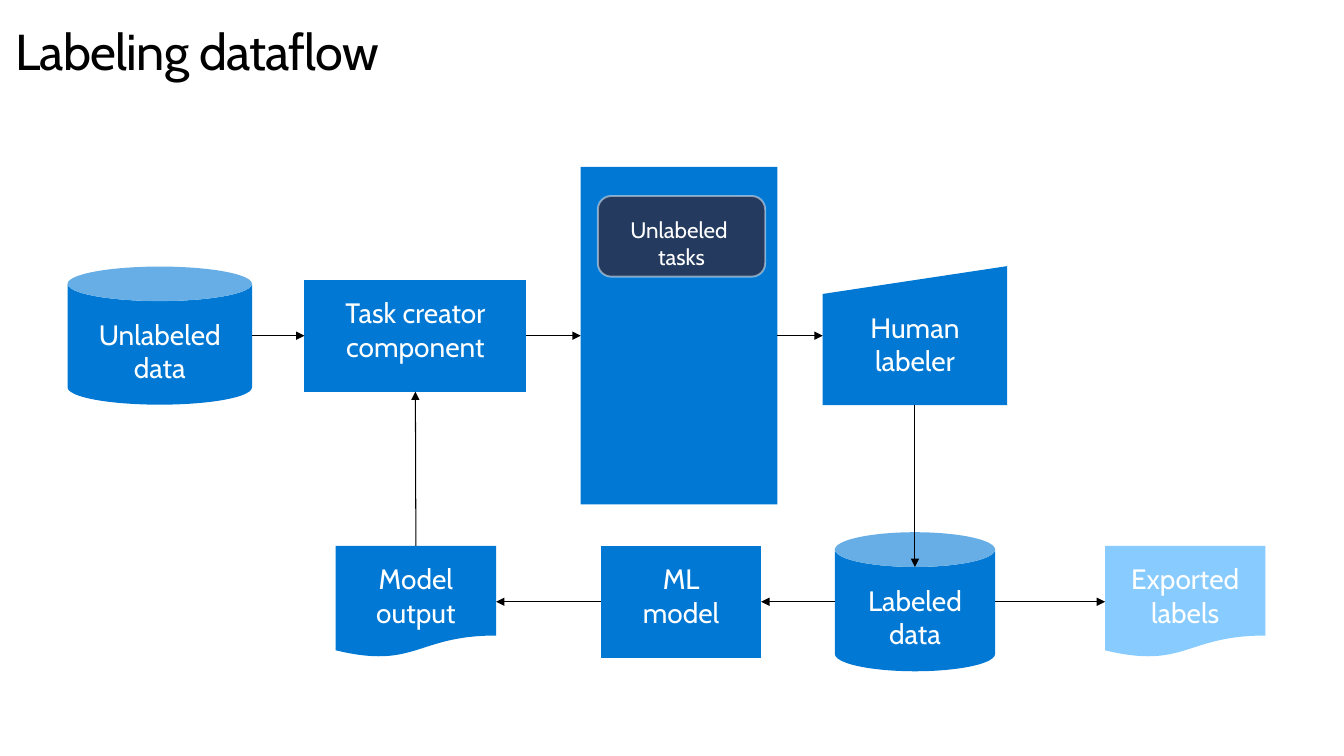
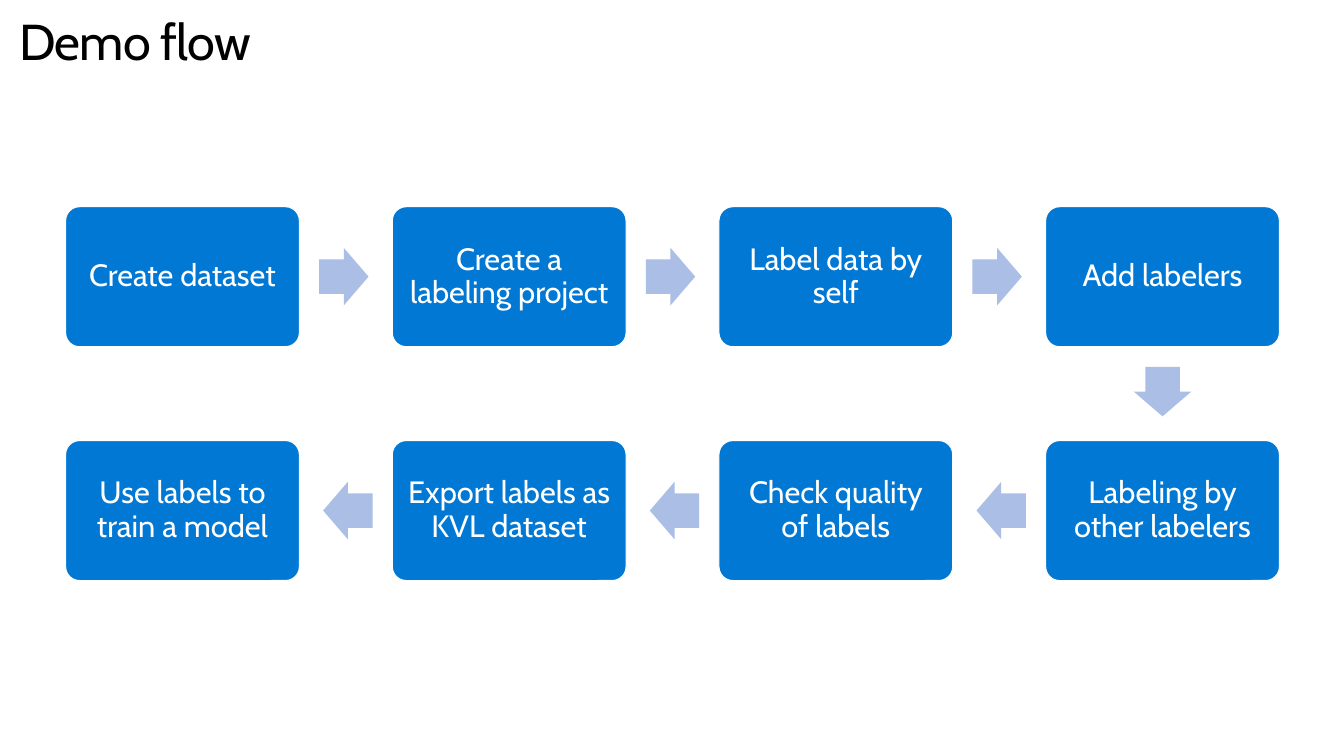
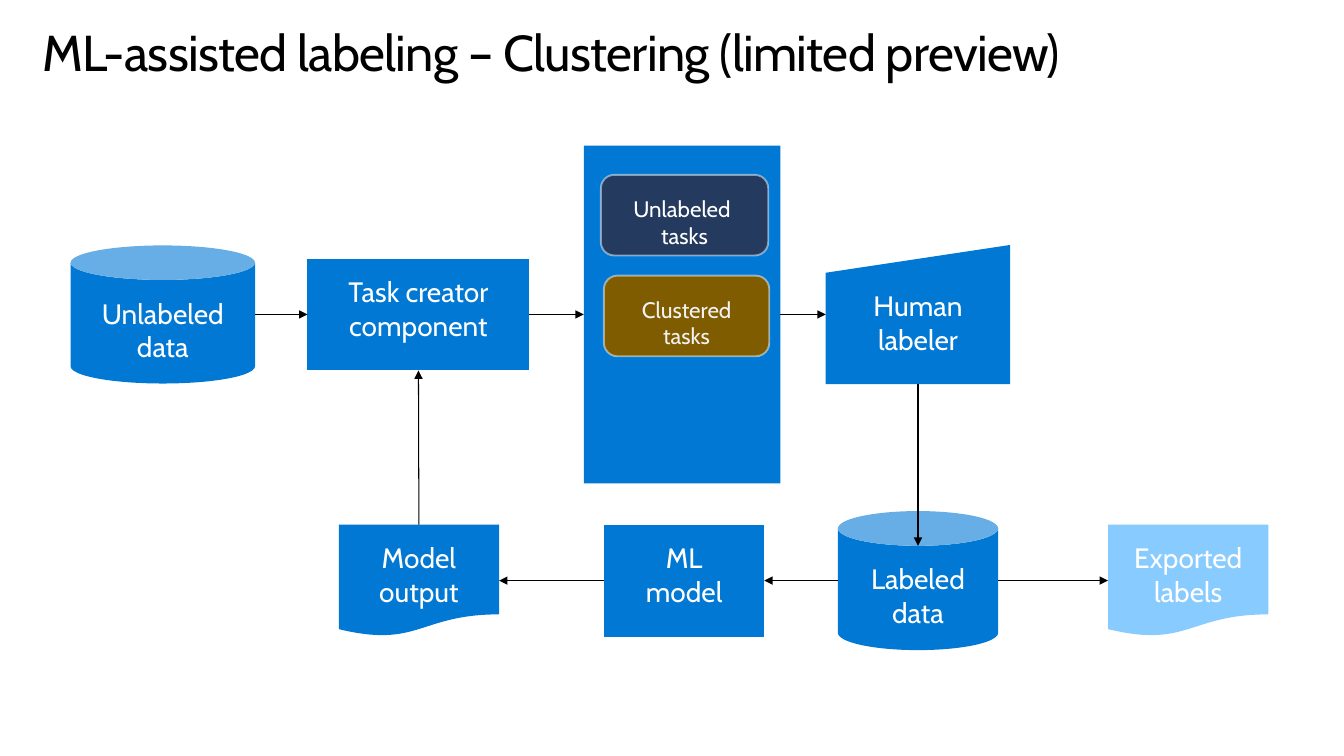
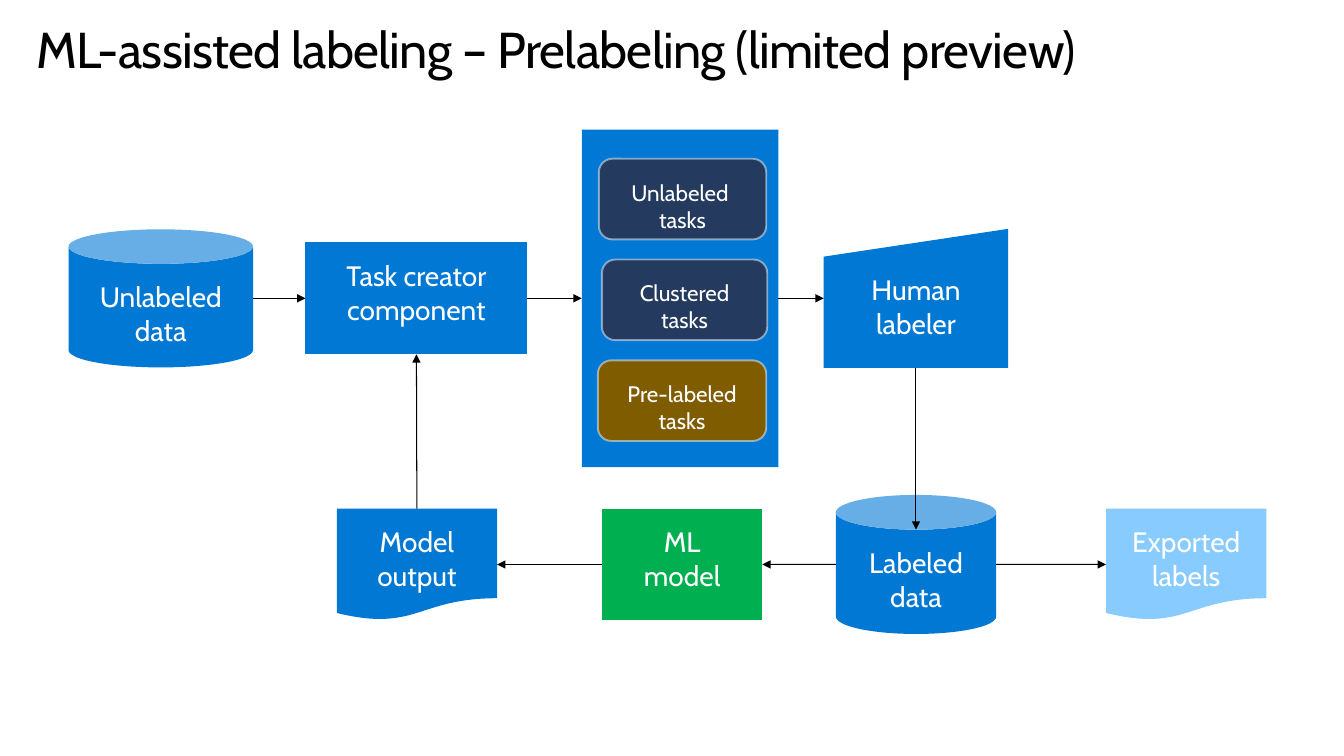
from lxml import etree
from pptx import Presentation
from pptx.dml.color import RGBColor
from pptx.enum import shapes, text
from pptx.oxml import ns
from pptx.util import Inches, Pt

FONT = "Cabin"
BLACK = RGBColor(0x00, 0x00, 0x00)
WHITE = RGBColor(0xFF, 0xFF, 0xFF)
BLUE = RGBColor(0x00, 0x78, 0xD4)
SKY = RGBColor(0x88, 0xCB, 0xFF)
NAVY = RGBColor(0x24, 0x3A, 0x5E)
GOLD = RGBColor(0x80, 0x5C, 0x00)
GREEN = RGBColor(0x00, 0xB0, 0x50)
LILAC = RGBColor(0xAB, 0xBE, 0xE6)
EDGE = RGBColor(0xF9, 0xF9, 0xF9)
PALE = RGBColor(0xF2, 0xF2, 0xF2)

KIND = shapes.MSO_SHAPE
CAN, BOX = KIND.CAN, KIND.FLOWCHART_PROCESS
DOC, HAND = KIND.FLOWCHART_DOCUMENT, KIND.FLOWCHART_MANUAL_INPUT
TOP, LEFT, BOTTOM, RIGHT = range(4)
PAD = (0.21, 0.16)

# Labeling flow: name -> (kind, label, left, row centre, width, height, fill)
UPPER, LOWER = 3.33, 5.97
NODES = {
    "raw": (CAN, "Unlabeled data", 0.67, UPPER, 1.83, 1.37, BLUE),
    "task": (BOX, "Task creator component", 3.02, UPPER, 2.2, 1.11, BLUE),
    "queue": (KIND.RECTANGLE, "", 5.76, UPPER, 1.95, 3.35, BLUE),
    "human": (HAND, "Human labeler", 8.16, UPPER, 1.83, 1.38, BLUE),
    "done": (CAN, "Labeled data", 8.28, LOWER, 1.59, 1.38, BLUE),
    "model": (BOX, "ML model", 5.96, LOWER, 1.59, 1.11, BLUE),
    "output": (DOC, "Model output", 3.33, LOWER, 1.59, 1.11, BLUE),
    "export": (DOC, "Exported labels", 10.96, LOWER, 1.59, 1.11, SKY),
}
LINKS = [
    ("raw", RIGHT, "task", LEFT),
    ("task", RIGHT, "queue", LEFT),
    ("queue", RIGHT, "human", LEFT),
    ("human", BOTTOM, "done", TOP),
    ("done", LEFT, "model", RIGHT),
    ("model", LEFT, "output", RIGHT),
    ("output", TOP, "task", BOTTOM),
    ("done", RIGHT, "export", LEFT),
]
# Queue cards: label, indent in the queue, width
CARDS = [
    ("Unlabeled \ntasks", 0.17, 1.66),
    ("Clustered tasks", 0.2, 1.64),
    ("Pre-labeled tasks", 0.16, 1.67),
]
# Each flow: title, title place, shift, (fill, ink) of its cards, model fill
FLOWS = [
    ("Labeling dataflow", (0.15, 0.2), (0, 0), [(NAVY, WHITE)], BLUE),
    ("ML-assisted labeling – Clustering (limited preview)", (0.42, 0.21),
     (0.03, -0.21), [(NAVY, WHITE), (GOLD, PALE)], BLUE),
    ("ML-assisted labeling – Prelabeling (limited preview)", (0.36, 0.18),
     (0.01, -0.37), [(NAVY, WHITE), (NAVY, WHITE), (GOLD, WHITE)], GREEN),
]
STEPS = [
    "Create dataset", "Create a labeling project", "Label data by self",
    "Add labelers", "Labeling by other labelers", "Check quality of labels",
    "Export labels as KVL dataset", "Use labels to train a model",
]


def write(shape, words, size, ink, pad, anchor, align):
    frame = shape.text_frame
    frame.word_wrap = True
    frame.vertical_anchor = anchor
    frame.margin_left = frame.margin_right = Inches(pad[0])
    frame.margin_top = frame.margin_bottom = Inches(pad[1])
    frame.text = words
    for para in frame.paragraphs:
        para.alignment = align
        para.font.name, para.font.size = FONT, Pt(size)
        para.font.color.rgb = ink
    return frame


def add_title(slide, words, place):
    box = slide.shapes.add_textbox(*map(Inches, (*place, 12.05, 0.61)))
    frame = write(box, words, 36, BLACK, (0, 0), text.MSO_ANCHOR.TOP,
                  text.PP_ALIGN.LEFT)
    frame.paragraphs[0].runs[0].font._element.set("spc", "-50")


def add_shape(slide, kind, rect, fill, words="", size=20, ink=WHITE, pad=PAD,
              anchor=text.MSO_ANCHOR.TOP):
    shape = slide.shapes.add_shape(kind, *map(Inches, rect))
    shape.shadow.inherit = False
    shape.fill.solid()
    shape.fill.fore_color.rgb = fill
    shape.line.fill.background()
    if words:
        write(shape, words, size, ink, pad, anchor, text.PP_ALIGN.CENTER)
    return shape


def outline(shape, color, width):
    shape.line.color.rgb = color
    shape.line.width = Pt(width)


def site(shape, side):
    """Point where an arrow meets a side; on top of a can, the lid's front."""
    x, y = shape.left + shape.width // 2, shape.top + shape.height // 2
    if side in (LEFT, RIGHT):
        return shape.left + (shape.width if side == RIGHT else 0), y
    if side == BOTTOM:
        return x, shape.top + shape.height
    lid = min(shape.width, shape.height) // 4
    return x, shape.top + (lid if shape.auto_shape_type == CAN else 0)


def add_link(slide, start, out, end, into):
    line = slide.shapes.add_connector(
        shapes.MSO_CONNECTOR.STRAIGHT, *site(start, out), *site(end, into))
    if start.auto_shape_type != CAN:
        line.begin_connect(start, out)
    if end.auto_shape_type != CAN:
        line.end_connect(end, into)
    outline(line, BLACK, 0.75)
    tip = etree.SubElement(line.line._get_or_add_ln(), ns.qn("a:tailEnd"))
    tip.set("type", "triangle")
    etree.SubElement(line._element.spPr, ns.qn("a:effectLst"))


def add_card(slide, rect, fill, words, ink):
    card = add_shape(slide, KIND.ROUNDED_RECTANGLE, rect, fill, words, 16, ink)
    outline(card, EDGE, 1.35)
    tint = card.line._get_or_add_ln().find(".//" + ns.qn("a:srgbClr"))
    etree.SubElement(tint, ns.qn("a:alpha")).set("val", "50000")


def draw_flow(slide, title, place, shift, looks, tone):
    add_title(slide, title, place)
    dx, dy = shift
    made = {}
    for name, (kind, words, left, mid, wide, high, fill) in NODES.items():
        rect = (left + dx, mid - high / 2 + dy, wide, high)
        made[name] = add_shape(slide, kind, rect,
                               tone if name == "model" else fill, words)
    queue = made["queue"]
    for i, ((words, indent, wide), (fill, ink)) in enumerate(zip(CARDS, looks)):
        rect = (queue.left.inches + indent, queue.top.inches + 0.29 + i,
                wide, 0.8)
        add_card(slide, rect, fill, words, ink)
    for start, out, end, into in LINKS:
        add_link(slide, made[start], out, made[end], into)


def draw_demo(slide):
    """Steps run right along the first row and back along the second."""
    add_title(slide, "Demo flow", (0.19, 0.1))
    wide, high, cols = 2.32, 1.39, 4
    spots = []
    for i, words in enumerate(STEPS):
        row, col = divmod(i, cols)
        if row:
            col = cols - 1 - col
        left, top = 0.65 + 3.24 * col, 2.05 + 2.32 * row
        card = add_shape(slide, KIND.ROUNDED_RECTANGLE, (left, top, wide, high),
                         BLUE, words, 22, pad=(0.1, 0.09),
                         anchor=text.MSO_ANCHOR.MIDDLE)
        card.adjustments[0] = 0.1
        outline(card, WHITE, 0.85)
        card.text_frame.paragraphs[0].line_spacing = 0.9
        spots.append((left + wide / 2, top + high / 2))

    long, thick, back = 0.49, 0.57, 0.02
    for i, ((x1, y1), (x2, y2)) in enumerate(zip(spots, spots[1:]), 1):
        turn = 0 if i < cols else 90 if i == cols else 180
        ux, uy = {0: (1, 0), 90: (0, 1), 180: (-1, 0)}[turn]
        x, y = (x1 + x2) / 2 - back * ux, (y1 + y2) / 2 - back * uy
        arrow = add_shape(slide, KIND.RIGHT_ARROW,
                          (x - long / 2, y - thick / 2, long, thick), LILAC)
        arrow.adjustments[0], arrow.adjustments[1] = 0.6, 0.5
        arrow.rotation = turn


def main():
    deck = Presentation()
    deck.slide_width, deck.slide_height = Inches(13.33), Inches(7.5)
    blank = deck.slide_layouts[6]
    draw_flow(deck.slides.add_slide(blank), *FLOWS[0])
    draw_demo(deck.slides.add_slide(blank))
    for flow in FLOWS[1:]:
        draw_flow(deck.slides.add_slide(blank), *flow)
    deck.save("out.pptx")


if __name__ == "__main__":
    main()
